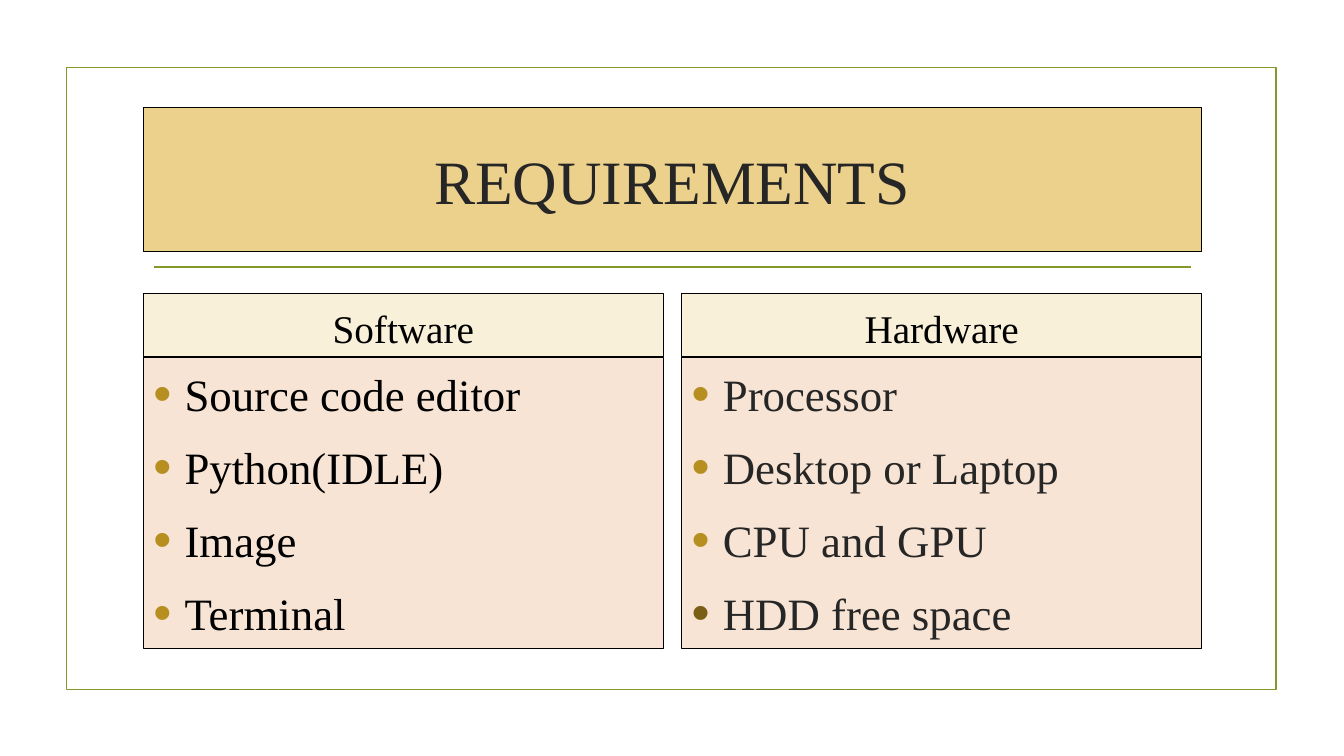
from dataclasses import dataclass

from lxml import etree
from pptx import Presentation
from pptx.dml.color import RGBColor
from pptx.enum import shapes, text
from pptx.oxml import ns
from pptx.util import Inches, Pt

FONT = "Times New Roman"
INK, BLACK, OLIVE, GOLD = "262626", "000000", "83992A", "B78E20"
COLUMN_WIDTH = 5.16


@dataclass
class Column:
    heading: str
    items: list[str]
    left: float
    color: str
    last_bullet: str
    heading_idx: int


COLUMNS = [
    Column("Software", ["Source code editor", "Python(IDLE)", "Image", "Terminal"],
           1.42, BLACK, GOLD, 1),
    Column("Hardware", ["Processor", "Desktop or Laptop", "CPU and GPU", "HDD free space"],
           6.76, INK, "7A5E15", 3),
]


def rgb(color: str) -> RGBColor:
    return RGBColor.from_string(color)


def outline(shape, color: str, width: float) -> None:
    shape.line.color.rgb = rgb(color)
    shape.line.width = Pt(width)


def apply_format(target, values: dict) -> None:
    for name, value in values.items():
        setattr(target, name, value)


def place(holder, box: tuple, fill: str, anchor) -> None:
    """Move a placeholder and give it its fill, border and text anchor."""
    sides = ("left", "top", "width", "height")
    apply_format(holder, {side: Inches(size) for side, size in zip(sides, box)})
    holder.fill.solid()
    holder.fill.fore_color.rgb = rgb(fill)
    outline(holder, BLACK, 0.75)
    apply_format(holder.text_frame, {
        "word_wrap": True,
        "auto_size": text.MSO_AUTO_SIZE.NONE,
        "vertical_anchor": anchor,
    })


def style(paragraph, size: float, color: str, **spacing) -> None:
    apply_format(paragraph, {"space_before": Pt(0), "space_after": Pt(0), **spacing})
    apply_format(paragraph.font, {"name": FONT, "size": Pt(size), "bold": False})
    paragraph.font.color.rgb = rgb(color)


def add_bullet(paragraph, color: str) -> None:
    properties = paragraph._p.get_or_add_pPr()
    properties.set("marL", str(Inches(0.31)))
    properties.set("indent", str(-Inches(0.31)))
    bullet_color = etree.SubElement(properties, ns.qn("a:buClr"))
    etree.SubElement(bullet_color, ns.qn("a:srgbClr"), val=color)
    etree.SubElement(properties, ns.qn("a:buSzPct"), val="115000")
    etree.SubElement(properties, ns.qn("a:buFont"), typeface="Arial")
    etree.SubElement(properties, ns.qn("a:buChar"), char="•")


def add_frame(slide) -> None:
    frame = slide.shapes.add_shape(shapes.MSO_SHAPE.RECTANGLE, Inches(0.66), Inches(0.67),
                                   Inches(12), Inches(6.17))
    frame.shadow.inherit = False
    frame.fill.background()
    outline(frame, OLIVE, 1.25)
    rule = slide.shapes.add_connector(shapes.MSO_CONNECTOR.STRAIGHT, Inches(1.53),
                                      Inches(2.65), Inches(11.81), Inches(2.65))
    outline(rule, OLIVE, 1.25)
    etree.SubElement(rule._element.spPr, ns.qn("a:effectLst"))
    for position, part in enumerate((frame, rule), start=2):
        slide.shapes._spTree.insert(position, part._element)


def add_title(slide) -> None:
    title = slide.shapes.title
    place(title, (1.42, 1.07, 10.5, 1.43), "EBD18C", text.MSO_ANCHOR.MIDDLE)
    title.text_frame.text = "REQUIREMENTS"
    style(title.text_frame.paragraphs[0], 44, INK, alignment=text.PP_ALIGN.CENTER)


def add_column(slide, column: Column) -> None:
    holders = {holder.placeholder_format.idx: holder for holder in slide.placeholders}
    heading, body = holders[column.heading_idx], holders[column.heading_idx + 1]

    place(heading, (column.left, 2.91, COLUMN_WIDTH, 0.63), "F8F0D9", text.MSO_ANCHOR.BOTTOM)
    heading.text_frame.text = column.heading
    style(heading.text_frame.paragraphs[0], 28, BLACK, alignment=text.PP_ALIGN.CENTER)

    place(body, (column.left, 3.55, COLUMN_WIDTH, 2.88), "F7E4D4", text.MSO_ANCHOR.TOP)
    body.text_frame.margin_top = Inches(0.09)
    body.text_frame.text = "\n".join(column.items)
    paragraphs = body.text_frame.paragraphs
    for number, paragraph in enumerate(paragraphs, start=1):
        add_bullet(paragraph, column.last_bullet if number == len(paragraphs) else GOLD)
        style(paragraph, 32, column.color, space_after=Pt(6),
              space_before=Pt(0 if number == 1 else 7.7))


def main() -> None:
    deck = Presentation()
    deck.slide_width, deck.slide_height = Inches(13.33), Inches(7.5)
    slide = deck.slides.add_slide(deck.slide_layouts.get_by_name("Comparison"))
    add_frame(slide)
    add_title(slide)
    for column in COLUMNS:
        add_column(slide, column)
    deck.save("out.pptx")


if __name__ == "__main__":
    main()
